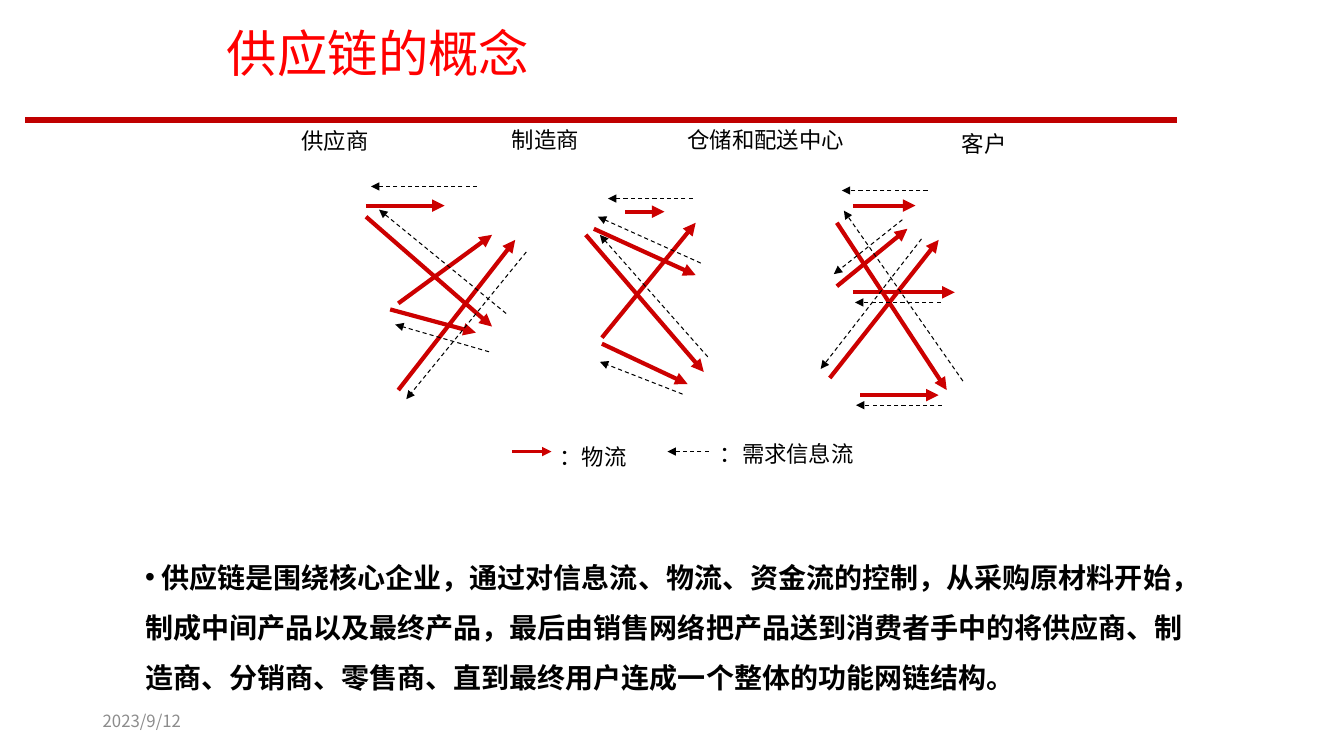
from dataclasses import dataclass

from lxml import etree
from pptx import Presentation
from pptx.dml.color import RGBColor
from pptx.enum.dml import MSO_LINE
from pptx.enum.shapes import MSO_CONNECTOR, MSO_SHAPE
from pptx.enum.text import MSO_ANCHOR, MSO_AUTO_SIZE, PP_ALIGN
from pptx.oxml.ns import qn
from pptx.util import Inches, Pt

STRAIGHT = MSO_CONNECTOR.STRAIGHT
RECTANGLE = MSO_SHAPE.RECTANGLE
DASH = MSO_LINE.DASH
TOP, MIDDLE = MSO_ANCHOR.TOP, MSO_ANCHOR.MIDDLE
LEFT, CENTER, JUSTIFY = PP_ALIGN.LEFT, PP_ALIGN.CENTER, PP_ALIGN.JUSTIFY
CHINESE_FONT = "Noto Sans CJK SC"
COLORS = {
    "title": "FF0000",
    "goods": "CC0000",
    "rule": "C00000",
    "text": "000000",
    "date": "8C8C8C",
    "white": "FFFFFF",
}


@dataclass(frozen=True)
class Stroke:
    color: str
    width: float
    dashed: bool = False
    arrow: bool = True


@dataclass(frozen=True)
class TextStyle:
    size: float
    font: str = "Calibri"
    color: str = "text"
    bold: bool = False
    align: PP_ALIGN = LEFT
    anchor: MSO_ANCHOR = TOP
    spacing: float = 1.0
    inset: tuple[float, float] = (0.1, 0.05)
    bullet: str = ""


@dataclass(frozen=True)
class Label:
    text: str
    box: tuple[float, float, float, float]
    style: TextStyle


GOODS = Stroke("goods", 3)
GOODS_KEY = Stroke("goods", 2.25)
DEMAND = Stroke("text", 0.75, dashed=True)
RULE = Stroke("rule", 4.5, arrow=False)

TITLE = TextStyle(36, CHINESE_FONT, "title", anchor=MIDDLE, spacing=0.9)
STAGE = TextStyle(16, align=CENTER, inset=(0.02, 0))
STAGE_JUSTIFIED = TextStyle(16, align=JUSTIFY, inset=(0.02, 0))
DEMAND_KEY = TextStyle(16, align=JUSTIFY)
BODY = TextStyle(20, "Arial", bold=True, spacing=1.5, bullet="•")
DATE = TextStyle(12, CHINESE_FONT, "date", anchor=MIDDLE)

LABELS = [
    Label("供应商", (2.97, 1.26, 0.9, 0.27), STAGE_JUSTIFIED),
    Label("制造商", (5.01, 1.25, 0.8, 0.34), STAGE),
    Label("仓储和配送中心", (6.73, 1.25, 1.73, 0.34), STAGE),
    Label("客户", (9.42, 1.29, 0.68, 0.35), STAGE),
    Label("：物流", (5.53, 4.4, 0.74, 0.3), STAGE_JUSTIFIED),
    Label(
        " 供应链是围绕核心企业，通过对信息流、物流、资金流的控制，从采购原材料开始，"
        "制成中间产品以及最终产品，最后由销售网络把产品送到消费者手中的将供应商、"
        "制造商、分销商、零售商、直到最终用户连成一个整体的功能网链结构。",
        (1.34, 5.34, 10.56, 1.55), BODY),
    Label("2023/9/12", (0.92, 6.95, 3, 0.4), DATE),
]

# Each line is (from x, from y, to x, to y).
LINES = {
    GOODS: [
        # supplier to manufacturer
        (3.63, 2.04, 4.41, 2.04), (3.63, 2.15, 4.88, 3.24),
        (3.95, 3.01, 4.88, 2.33), (3.87, 3.07, 4.72, 3.3),
        (3.95, 3.87, 5.11, 2.38),
        # manufacturer to distribution centre
        (6.2, 2.1, 6.59, 2.1), (5.89, 2.27, 6.9, 2.73),
        (5.81, 2.33, 6.98, 3.69), (5.97, 3.35, 6.9, 2.21),
        (5.97, 3.41, 6.82, 3.81),
        # distribution centre to customer
        (8.46, 2.04, 9.08, 2.04), (8.3, 2.21, 9.39, 3.87),
        (8.23, 3.75, 9.31, 2.38), (8.3, 2.84, 9, 2.27),
        (8.46, 2.9, 9.47, 2.9), (8.53, 3.92, 9.31, 3.92),
    ],
    GOODS_KEY: [(5.08, 4.48, 5.47, 4.48)],
    DEMAND: [
        # customer to distribution centre
        (9.2, 1.89, 8.35, 1.89), (9.33, 3, 8.48, 3),
        (8.95, 2.18, 8.27, 2.72), (9.55, 3.78, 8.37, 2.09),
        (9.34, 4.02, 8.49, 4.02), (9.14, 2.37, 8.14, 3.66),
        # distribution centre to manufacturer
        (6.87, 1.97, 6.03, 1.97), (6.77, 3.91, 5.95, 3.59),
        (6.95, 2.61, 5.93, 2.15), (7.02, 3.54, 5.95, 2.33),
        # manufacturer to supplier
        (4.73, 1.85, 3.68, 1.85), (5.22, 2.5, 4.03, 3.96),
        (5.02, 3.11, 3.76, 2.08), (4.85, 3.49, 3.92, 3.22),
        # key
        (7.1, 4.48, 6.62, 4.48),
    ],
    RULE: [(0.25, 1.19, 11.67, 1.19)],
}


def rgb(name: str) -> RGBColor:
    return RGBColor.from_string(COLORS[name])


def write_text(shape, text: str, style: TextStyle) -> None:
    frame = shape.text_frame
    frame.word_wrap = True
    frame.auto_size = MSO_AUTO_SIZE.NONE
    frame.vertical_anchor = style.anchor
    frame.margin_left = frame.margin_right = Inches(style.inset[0])
    frame.margin_top = frame.margin_bottom = Inches(style.inset[1])
    paragraph = frame.paragraphs[0]
    paragraph.alignment = style.align
    paragraph.line_spacing = style.spacing
    if style.bullet:
        properties = paragraph._p.get_or_add_pPr()
        etree.SubElement(properties, qn("a:buFont"), typeface="Arial")
        etree.SubElement(properties, qn("a:buChar"), char=style.bullet)
    run = paragraph.add_run()
    run.text = text
    run.font.size = Pt(style.size)
    run.font.name = style.font
    run.font.bold = style.bold
    run.font.color.rgb = rgb(style.color)
    etree.SubElement(run._r.get_or_add_rPr(), qn("a:ea"), typeface=CHINESE_FONT)


def add_line(slide, ends: tuple[float, float, float, float], stroke: Stroke) -> None:
    connector = slide.shapes.add_connector(STRAIGHT, *map(Inches, ends))
    connector.line.color.rgb = rgb(stroke.color)
    connector.line.width = Pt(stroke.width)
    if stroke.dashed:
        connector.line.dash_style = DASH
    if stroke.arrow:
        etree.SubElement(connector.line._get_or_add_ln(), qn("a:tailEnd"), type="triangle")
    etree.SubElement(connector._element.spPr, qn("a:effectLst"))


def add_title(slide) -> None:
    title = slide.shapes.title
    title.left, title.top = Inches(2.15), Inches(-0.07)
    title.width, title.height = Inches(9), Inches(1.25)
    write_text(title, "供应链的概念", TITLE)


def add_demand_key(slide) -> None:
    """Add the white key box that covers the start of its dashed arrow."""
    box = slide.shapes.add_shape(RECTANGLE, *map(Inches, (7.04, 4.32, 1.6, 0.33)))
    box.shadow.inherit = False
    box.fill.solid()
    box.fill.fore_color.rgb = rgb("white")
    box.line.fill.background()
    write_text(box, "：需求信息流", DEMAND_KEY)


def main() -> None:
    presentation = Presentation()
    presentation.slide_width, presentation.slide_height = Inches(13.33), Inches(7.5)
    slide = presentation.slides.add_slide(presentation.slide_layouts[5])
    add_title(slide)
    for stroke, lines in LINES.items():
        for ends in lines:
            add_line(slide, ends, stroke)
    add_demand_key(slide)
    for label in LABELS:
        box = slide.shapes.add_textbox(*map(Inches, label.box))
        write_text(box, label.text, label.style)
    presentation.save("out.pptx")


if __name__ == "__main__":
    main()
